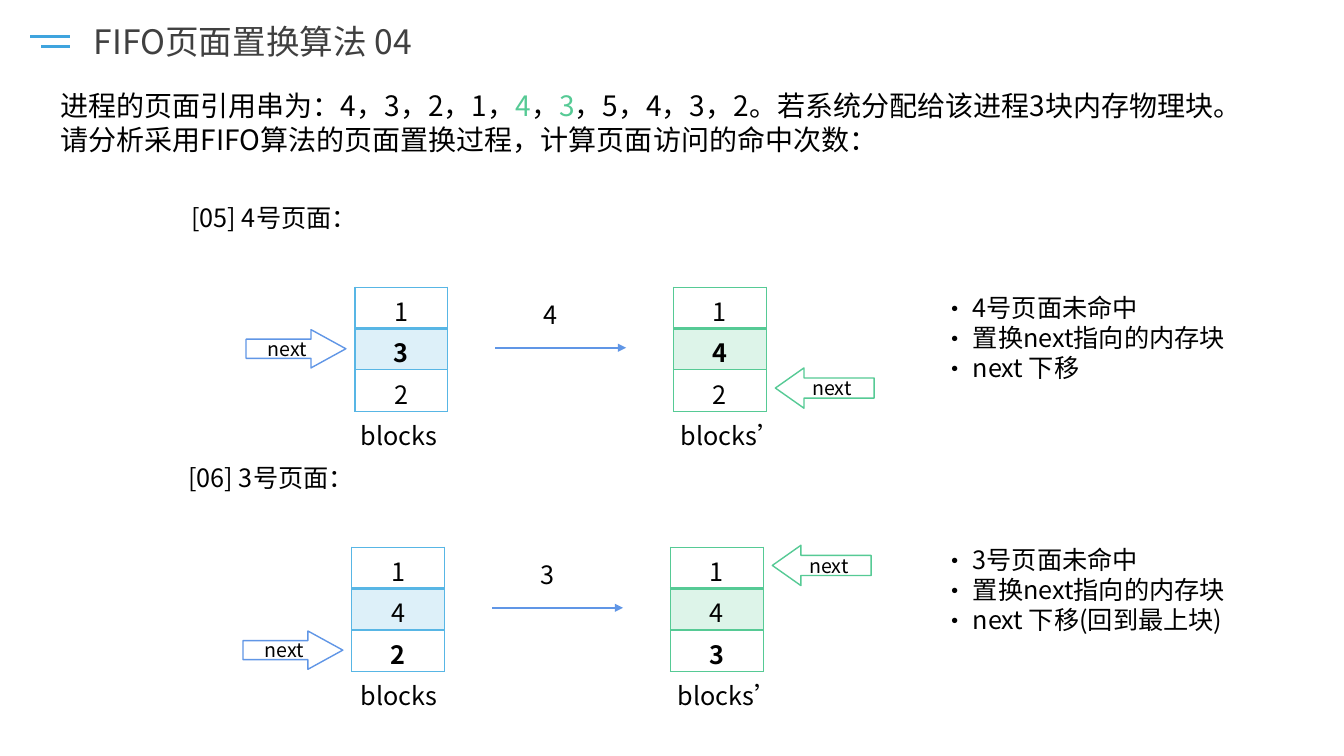
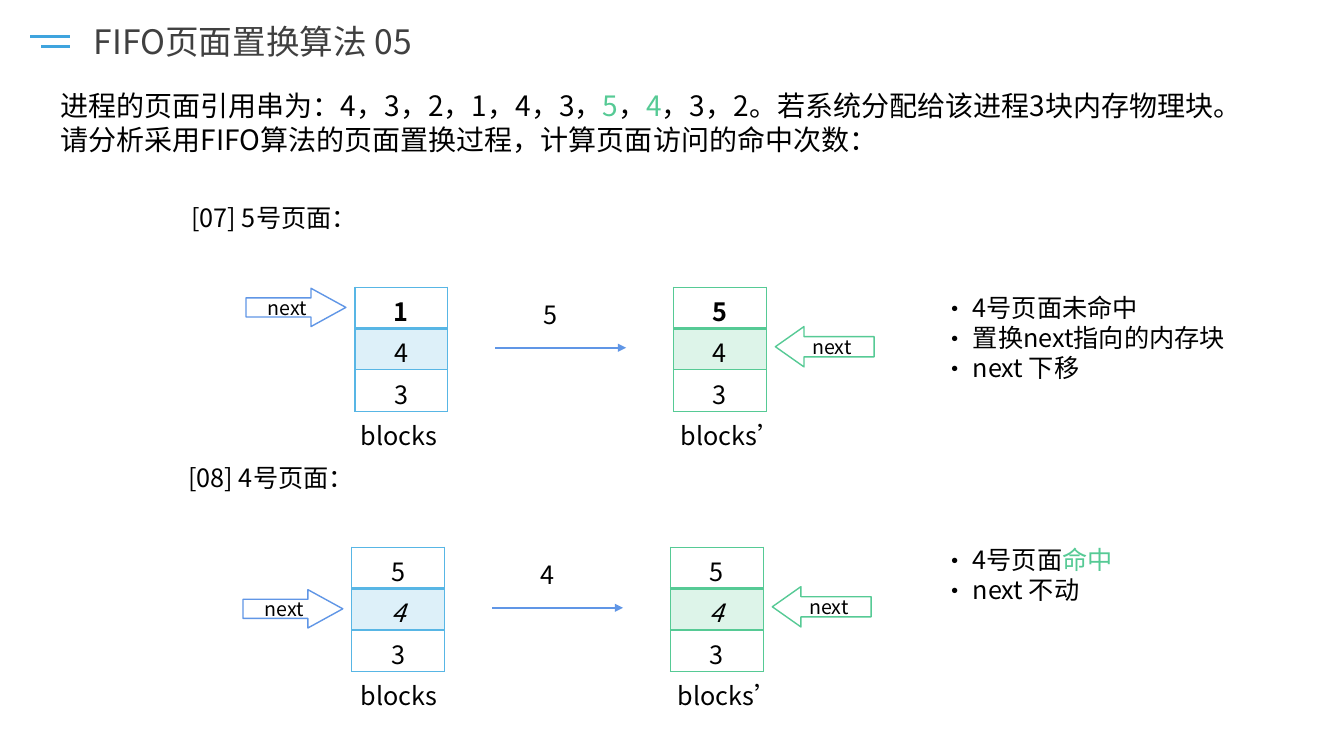
from lxml.etree import SubElement
from pptx import Presentation
from pptx.dml.color import RGBColor
from pptx.enum.shapes import MSO_CONNECTOR, MSO_SHAPE
from pptx.enum.text import MSO_ANCHOR, MSO_AUTO_SIZE, PP_ALIGN
from pptx.oxml.ns import qn
from pptx.util import Emu, Pt

COLORS = {
    "black": "000000", "title": "404040", "white": "FFFFFF", "mark": "3FA4DE",
    "old": "58B6E5", "new": "56CA95", "arrow": "6096E6",
}
FONT = "Noto Sans CJK SC"
PX = 9144  # 100 px to the inch
SLIDE_SIZE = (1333, 750)
ROW_HEIGHT, BLOCK_WIDTH = 41, 92

# Text between asterisks is green.
PAGES = "4321435432"
REFERENCE = "进程的页面引用串为：{}。若系统分配给该进程3块内存物理块。"
QUESTION = "请分析采用FIFO算法的页面置换过程，计算页面访问的命中次数："
REPLACE = "置换next指向的内存块"
ORIGINS = [(352, 285), (349, 543)]
NOTE_TOPS = [285, 535]

# old and new hold the blocks; next_old and next_new are the rows pointed at.
SLIDES = [
    {"title": "FIFO页面置换算法 04", "first_step": 5, "steps": [
        {"old": "132", "new": "142", "next_old": 1, "next_new": 2, "bold": 1,
         "notes": ["4号页面未命中", REPLACE, "next 下移"]},
        {"old": "142", "new": "143", "next_old": 2, "next_new": 0, "bold": 2,
         "notes": ["3号页面未命中", REPLACE, "next 下移(回到最上块)"]},
    ]},
    {"title": "FIFO页面置换算法 05", "first_step": 7, "steps": [
        {"old": "143", "new": "543", "next_old": 0, "next_new": 1, "bold": 0,
         "notes": ["4号页面未命中", REPLACE, "next 下移"]},
        {"old": "543", "new": "543", "next_old": 1, "next_new": 1, "italic": 1,
         "notes": ["4号页面*命中*", "next 不动"]},
    ]},
]


def rgb(name):
    return RGBColor.from_string(COLORS[name])


def px(*lengths):
    return [Emu(length * PX) for length in lengths]


def write(frame, lines, size, color="black", align=PP_ALIGN.LEFT, bullet=False):
    """Fill a text frame, one paragraph a line, with *green* parts."""
    for index, line in enumerate(lines):
        para = frame.paragraphs[0] if index == 0 else frame.add_paragraph()
        if bullet:
            properties = para._p.get_or_add_pPr()
            properties.set("marL", str(30 * PX))
            properties.set("indent", str(-30 * PX))
            SubElement(properties, qn("a:buFont"), typeface=FONT)
            SubElement(properties, qn("a:buChar"), char="·")
        para.alignment = align
        for part, text in enumerate(line.split("*")):
            if not text:
                continue
            span = para.add_run()
            span.text = text
            span.font.size = Pt(size)
            span.font.color.rgb = rgb("new" if part % 2 else color)
            span.font.name = FONT
            SubElement(span._r.get_or_add_rPr(), qn("a:ea"), typeface=FONT)


def add_text(page, box, lines, size=18, **style):
    frame = page.shapes.add_textbox(*px(*box)).text_frame
    frame.word_wrap = True
    write(frame, lines, size, **style)


def add_line(shapes, ends, color, width, arrow=False):
    line = shapes.add_connector(MSO_CONNECTOR.STRAIGHT, *px(*ends))
    line.line.color.rgb = rgb(color)
    line.line.width = Pt(width)
    if arrow:
        SubElement(line.line._get_or_add_ln(), qn("a:tailEnd"), type="triangle")
    SubElement(line._element.spPr, qn("a:effectLst"))


def add_title(page, text):
    mark = page.shapes.add_group_shape()
    for left, top in [(41, 46), (30, 36)]:
        add_line(mark.shapes, (left, top, 69, top), "mark", 2.25)
    title = page.shapes.title
    title.left, title.top, title.width, title.height = px(83, 16, 500, 50)
    frame = title.text_frame
    frame.auto_size = MSO_AUTO_SIZE.NONE
    frame.vertical_anchor = MSO_ANCHOR.TOP
    write(frame, [text], 24, color="title")


def set_borders(cell, color, widths):
    properties = cell._tc.get_or_add_tcPr()
    for position, (side, width) in enumerate(widths.items()):
        line = SubElement(properties, qn(f"a:ln{side}"), w=str(Pt(width)))
        fill = SubElement(line, qn("a:solidFill"))
        SubElement(fill, qn("a:srgbClr"), val=COLORS[color])
        properties.insert(position, line)


def add_blocks(page, left, top, values, color, bold, italic):
    frame = page.shapes.add_table(
        len(values), 1, *px(left, top, BLOCK_WIDTH, ROW_HEIGHT * len(values)))
    table = frame.table
    table.first_row = table.horz_banding = False
    for row, value in enumerate(values):
        table.rows[row].height = px(ROW_HEIGHT)[0]
        cell = table.cell(row, 0)
        cell.margin_top, cell.margin_bottom = px(5, 0)
        write(cell.text_frame, [value], 18, align=PP_ALIGN.CENTER)
        font = cell.text_frame.paragraphs[0].runs[0].font
        font.bold, font.italic = row == bold, row == italic
        if row == 1:
            cell.fill.solid()
            cell.fill.fore_color.rgb = rgb(color)
            tint = cell._tc.tcPr.find(".//" + qn("a:srgbClr"))
            SubElement(tint, qn("a:alpha"), val="20000")
        else:
            cell.fill.background()
        set_borders(cell, color, {"L": 1, "R": 1, "T": 2 if row == 1 else 1,
                                  "B": 2 if row == 0 else 1})


def add_pointer(page, kind, box, head, color):
    pointer = page.shapes.add_shape(kind, *px(*box))
    pointer.shadow.inherit = False
    pointer.adjustments[0], pointer.adjustments[1] = 0.5, head
    pointer.fill.solid()
    pointer.fill.fore_color.rgb = rgb("white")
    pointer.line.color.rgb = rgb(color)
    pointer.line.width = Pt(1)
    frame = pointer.text_frame
    frame.margin_top = frame.margin_bottom = 0
    frame.vertical_anchor = MSO_ANCHOR.MIDDLE
    write(frame, ["next"], 14, align=PP_ALIGN.CENTER)


def add_step(page, number, step, origin, note_top):
    left, top = origin
    new_left = left + 316
    request = PAGES[number - 1]
    add_text(page, (left - 172, top - 89, 666, 40), [f"[{number:02}] {request}号页面："])
    for state, x in [("old", left), ("new", new_left)]:
        add_blocks(page, x, top, step[state], state, step.get("bold"), step.get("italic"))
    add_line(page.shapes, (left + 139, top + 60, left + 269, top + 60), "arrow", 1.5, True)
    add_text(page, (left + 177, top + 7, 92, 40), [request])
    add_pointer(page, MSO_SHAPE.RIGHT_ARROW,
                (left - 108, top + step["next_old"] * ROW_HEIGHT + 1, 99, 38),
                0.91, "arrow")
    add_pointer(page, MSO_SHAPE.LEFT_ARROW,
                (new_left + 101, top + step["next_new"] * ROW_HEIGHT - 2, 98, 40),
                0.71, "new")
    for caption, x in [("blocks", 335), ("blocks’", new_left - 3)]:
        add_text(page, (x, top + 127, 121, 40), [caption], align=PP_ALIGN.CENTER)
    add_text(page, (925, note_top, 355, 101), step["notes"], bullet=True)


def build_slide(deck, content):
    page = deck.slides.add_slide(deck.slide_layouts[5])
    add_title(page, content["title"])
    first = content["first_step"]
    current = range(first, first + len(content["steps"]))
    sequence = "，".join(f"*{value}*" if number in current else value
                        for number, value in enumerate(PAGES, 1))
    add_text(page, (50, 83, 1243, 77), [REFERENCE.format(sequence), QUESTION], 20)
    for number, step, origin, note_top in zip(current, content["steps"], ORIGINS, NOTE_TOPS):
        add_step(page, number, step, origin, note_top)


def main():
    deck = Presentation()
    deck.slide_width, deck.slide_height = px(*SLIDE_SIZE)
    for content in SLIDES:
        build_slide(deck, content)
    deck.save("out.pptx")


if __name__ == "__main__":
    main()
